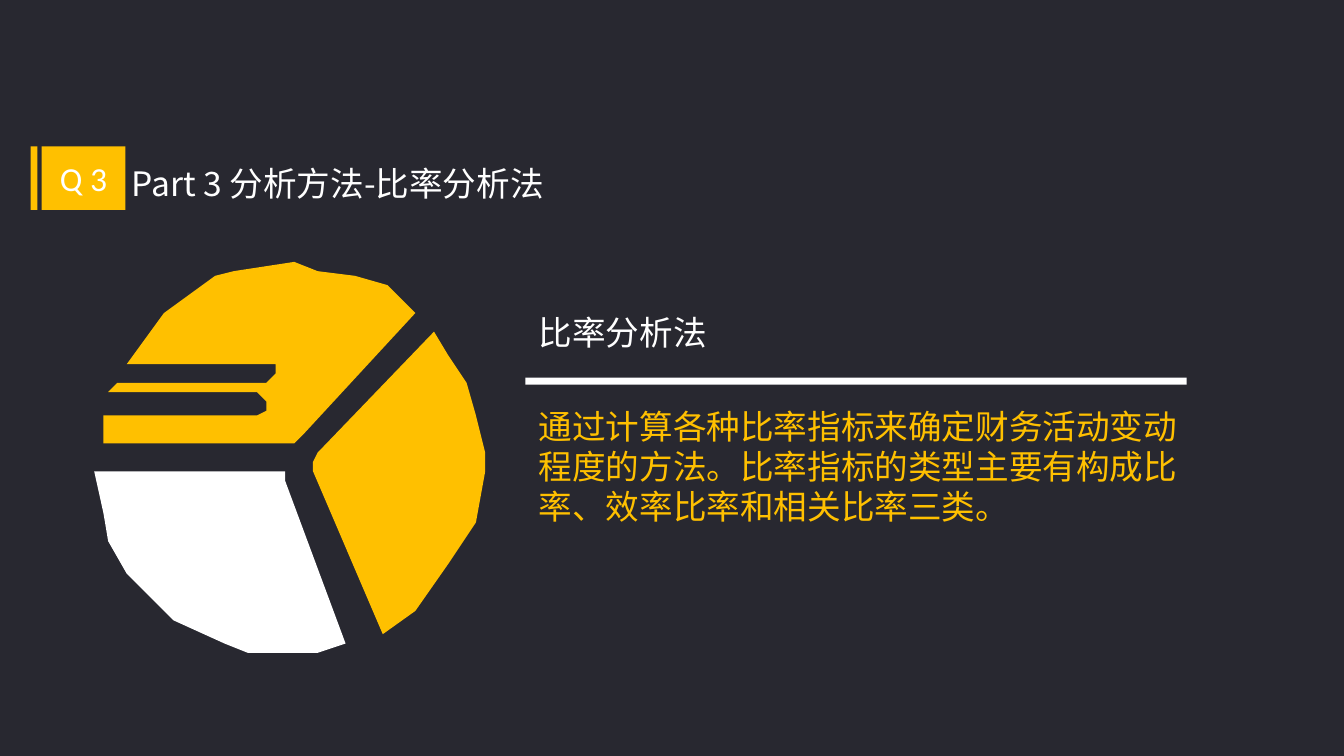
from pptx import Presentation
from pptx.dml.color import RGBColor
from pptx.enum.shapes import MSO_SHAPE as Preset
from pptx.enum.text import MSO_ANCHOR as Anchor, MSO_AUTO_SIZE as AutoSize, PP_ALIGN as Align
from pptx.oxml.ns import qn
from pptx.util import Cm, Pt

GOLD, WHITE, DARK = "FFC000", "FFFFFF", "282830"
SANS = "Noto Sans CJK SC"


def paint(fill, color):
    fill.solid()
    fill.fore_color.rgb = RGBColor.from_string(color)


class Deck:
    """Holds the text style and the current slide."""

    text_style = {"name": SANS, "size": Pt(18), "bold": False}
    frame_style = {
        "margin_left": Cm(0.25), "margin_right": Cm(0.25),
        "margin_top": Cm(0.13), "margin_bottom": Cm(0.13),
    }

    def __init__(self, width, height):
        self.show = Presentation()
        self.show.slide_width, self.show.slide_height = Cm(width), Cm(height)
        self.slide = self.show.slides.add_slide(self.show.slide_layouts[5])
        paint(self.slide.background.fill, DARK)

    def label(self, shape, text, color=WHITE, align=Align.LEFT, anchor=Anchor.TOP,
              wrap=True, grow=True, **font):
        frame = shape.text_frame
        frame.text = text
        layout = {"word_wrap": wrap, "vertical_anchor": anchor,
                  "auto_size": AutoSize.SHAPE_TO_FIT_TEXT if grow else AutoSize.NONE}
        for key, value in {**self.frame_style, **layout}.items():
            setattr(frame, key, value)
        frame.paragraphs[0].alignment = align
        run = frame.paragraphs[0].runs[0]
        for key, value in {**self.text_style, **font}.items():
            setattr(run.font, key, value)
        paint(run.font.fill, color)
        # East Asian characters take their font from a separate element
        properties = run._r.get_or_add_rPr()
        properties.append(properties.makeelement(qn("a:ea"), {"typeface": SANS}))

    def title(self, text, *box):
        heading = self.slide.shapes.title
        heading.left, heading.top, heading.width, heading.height = map(Cm, box)
        self.label(heading, text, wrap=False)

    def text(self, text, *box, **style):
        self.label(self.slide.shapes.add_textbox(*map(Cm, box)), text, **style)

    def finish(self, shape, color):
        paint(shape.fill, color)
        shape.line.fill.background()
        shape.shadow.inherit = False
        return shape

    def block(self, color, *box):
        shape = self.slide.shapes.add_shape(Preset.RECTANGLE, *map(Cm, box))
        return self.finish(shape, color)

    def outline(self, color, points, left, top, step):
        pen = self.slide.shapes.build_freeform(*points[0], scale=Cm(step))
        pen.add_line_segments(points[1:], close=True)
        self.finish(pen.convert_to_shape(Cm(left), Cm(top)), color)


# Pie sectors, in steps of one 84 x 84 grid
RIGHT_SECTOR = [(84, 45), (84, 41), (82, 33), (80, 26), (76, 20), (73, 15), (48, 41),
                (47, 43), (47, 45), (62, 80), (69, 75), (76, 65), (82, 56)]
LOWER_SECTOR = [(54, 82), (41, 47), (41, 45), (0, 45), (2, 54), (3, 60), (7, 67),
                (13, 73), (17, 77), (28, 82), (33, 84), (48, 84)]
UPPER_SECTOR = [(43, 0), (30, 2), (26, 3), (15, 11), (7, 22), (39, 22), (39, 24),
                (37, 26), (5, 26), (3, 28), (35, 28), (37, 30), (37, 32), (35, 33),
                (2, 33), (2, 39), (43, 39), (45, 37), (69, 11), (63, 5), (56, 3), (48, 2)]


def main():
    deck = Deck(25.4, 14.29)

    # Heading with its number badge
    deck.block(GOLD, 0.58, 2.77, 0.13, 1.2)
    badge = deck.block(GOLD, 0.79, 2.77, 1.58, 1.2)
    deck.label(badge, "Q 3", align=Align.CENTER, anchor=Anchor.MIDDLE,
               grow=False, name="Calibri")
    deck.title("Part 3 分析方法-比率分析法", 2.24, 2.95, 8.81, 1.02)

    # Pie in three sectors, on a grid of 84 steps over 7.39 cm
    for color, sector in ((GOLD, RIGHT_SECTOR), (WHITE, LOWER_SECTOR), (GOLD, UPPER_SECTOR)):
        deck.outline(color, sector, left=1.78, top=4.95, step=7.39 / 84)

    # Definition beside the pie
    column = 9.93
    deck.text("比率分析法", column, 5.77, 3.68, 1.02, wrap=False)
    deck.block(WHITE, column, 7.14, 12.5, 0.13)
    deck.text("通过计算各种比率指标来确定财务活动变动程度的方法。"
              "比率指标的类型主要有构成比率、效率比率和相关比率三类。",
              column, 7.54, 12.7, 2.54, color=GOLD)

    deck.show.save("out.pptx")


if __name__ == "__main__":
    main()
